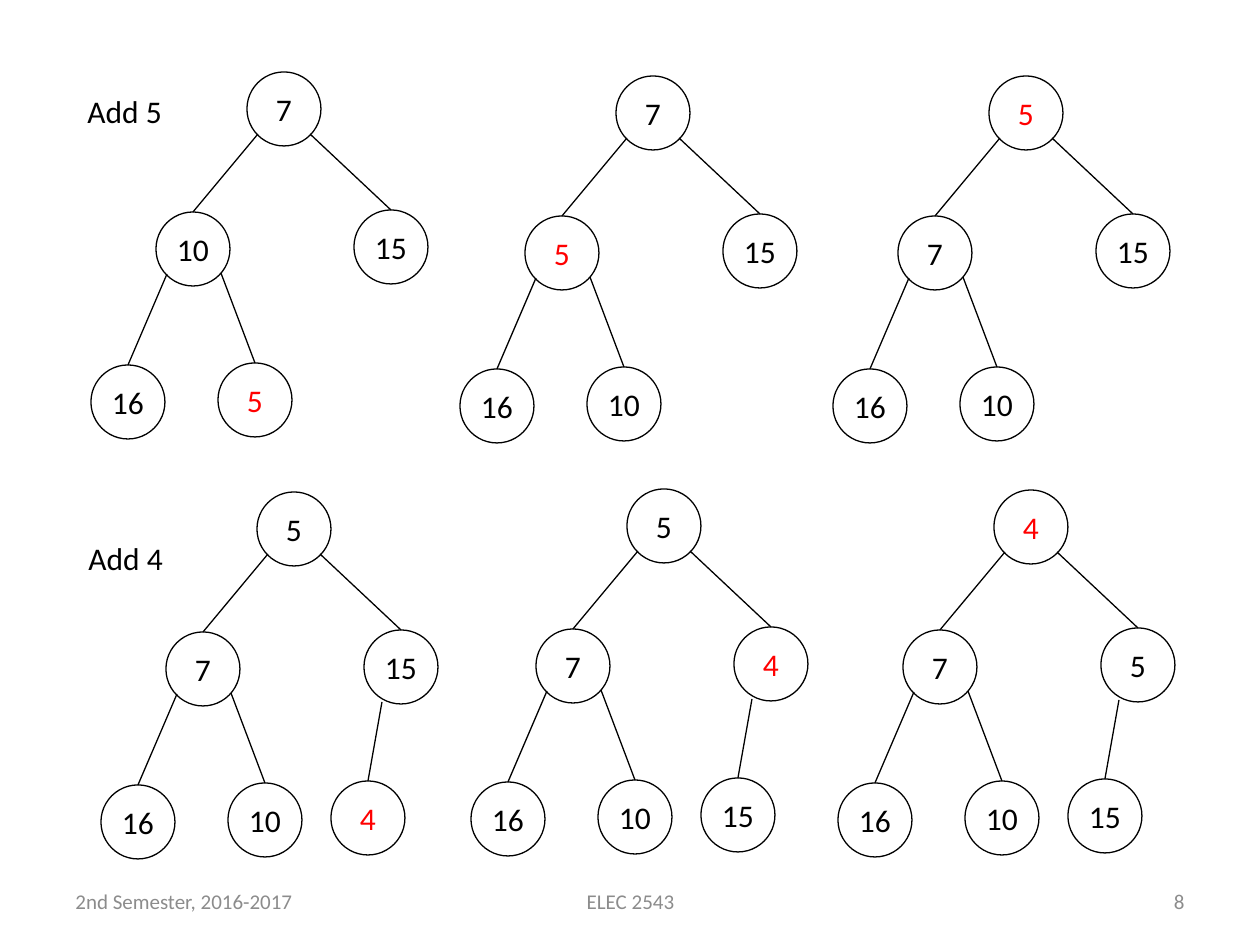
"""Build a slide of six heap trees that show two insertions."""
from lxml.etree import SubElement
from pptx import Presentation
from pptx.dml.color import RGBColor
from pptx.enum.shapes import MSO_CONNECTOR, MSO_SHAPE
from pptx.enum.text import MSO_ANCHOR, PP_ALIGN
from pptx.oxml.ns import qn
from pptx.util import Emu, Pt

SCALE = 914400 // 126
BLACK = RGBColor(0, 0, 0)
RED = RGBColor(255, 0, 0)
GRAY = RGBColor(0x8C, 0x8C, 0x8C)
FONT = "Calibri"
SIZE = 74

SPOTS = [(0, 0), (-91, 140), (107, 138), (-156, 293), (-29, 291), (74, 289)]
EDGES = [(0, 1, 11, 62), (0, 2, 63, 62), (1, 3, 11, 62),
         (1, 4, 65, 61), (2, 5, 18, 72)]
TREES = [
    (247, 72, [7, 10, 15, 16, 5], 4),
    (616, 76, [7, 5, 15, 16, 10], 1),
    (989, 76, [5, 7, 15, 16, 10], 0),
    (257, 492, [5, 7, 15, 16, 10, 4], 5),
    (627, 489, [5, 7, 4, 16, 10, 15], 2),
    (994, 490, [4, 7, 5, 16, 10, 15], 0),
]
LABELS = [
    ("Add 5", 75, 86, 107, 50, 18, BLACK, PP_ALIGN.LEFT),
    ("Add 4", 76, 533, 107, 50, 18, BLACK, PP_ALIGN.LEFT),
    ("2nd Semester, 2016-2017", 63, 876, 294, 50, 12, GRAY, PP_ALIGN.LEFT),
    ("ELEC 2543", 431, 876, 399, 50, 12, GRAY, PP_ALIGN.CENTER),
    ("8", 903, 876, 294, 50, 12, GRAY, PP_ALIGN.RIGHT),
]


def px(*nums):
    """Turn pixels into EMU lengths."""
    return [Emu(num * SCALE) for num in nums]


def write(frame, text, size, color, align):
    """Fill a text frame with one styled line."""
    frame.text = text
    frame.vertical_anchor = MSO_ANCHOR.MIDDLE
    para = frame.paragraphs[0]
    para.alignment = align
    font = para.runs[0].font
    font.name, font.size = FONT, Pt(size)
    font.color.rgb = color


def add_label(slide, text, left, top, width, height, size, color, align):
    """Add a text box."""
    frame = slide.shapes.add_textbox(*px(left, top, width, height)).text_frame
    frame.word_wrap = True
    write(frame, text, size, color, align)


def add_node(slide, left, top, key, color):
    """Add a circle that holds its key."""
    node = slide.shapes.add_shape(MSO_SHAPE.OVAL, *px(left, top, SIZE, SIZE))
    node.shadow.inherit = False
    node.fill.background()
    node.line.color.rgb = BLACK
    node.line.width = Pt(0.75)
    frame = node.text_frame
    frame.margin_left = frame.margin_right = 0
    frame.margin_top = frame.margin_bottom = 0
    frame.word_wrap = False
    write(frame, str(key), 18, color, PP_ALIGN.CENTER)
    return node


def add_edge(slide, left, top, child):
    """Add a line from a point to the top of a child node."""
    start = px(left, top)
    edge = slide.shapes.add_connector(MSO_CONNECTOR.STRAIGHT, *start, *start)
    edge.end_connect(child, 0)
    edge.line.color.rgb = BLACK
    edge.line.width = Pt(0.75)
    SubElement(edge._element.spPr, qn("a:effectLst"))


def add_tree(slide, left, top, keys, mark):
    """Add a heap tree with one key marked red."""
    spots = [(left + dx, top + dy) for dx, dy in SPOTS]
    nodes = [add_node(slide, *spots[i], key, RED if i == mark else BLACK)
             for i, key in enumerate(keys)]
    for head, child, dx, dy in EDGES:
        if child < len(nodes):
            x, y = spots[head]
            add_edge(slide, x + dx, y + dy, nodes[child])


def main():
    """Build and save the slide."""
    deck = Presentation()
    deck.slide_width, deck.slide_height = px(1260, 945)
    slide = deck.slides.add_slide(deck.slide_layouts[6])
    for tree in TREES:
        add_tree(slide, *tree)
    for label in LABELS:
        add_label(slide, *label)
    deck.save("out.pptx")


main()
